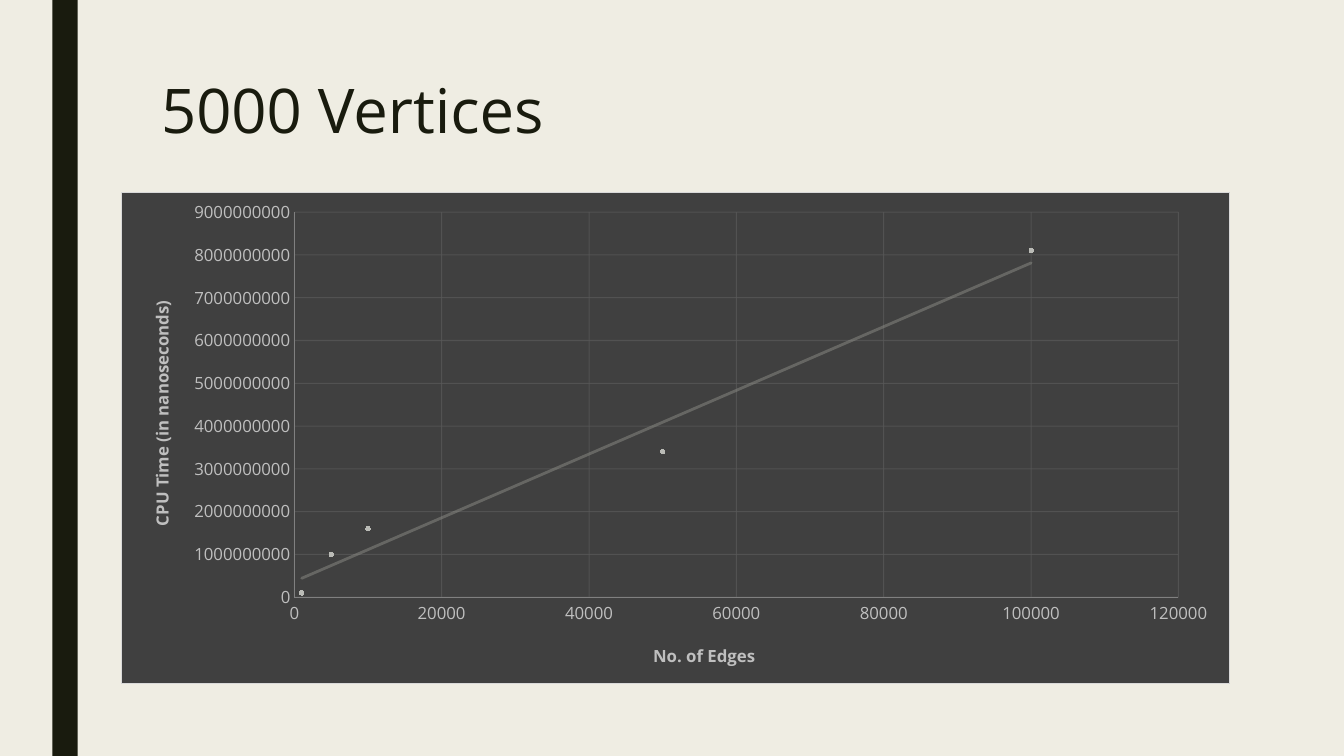
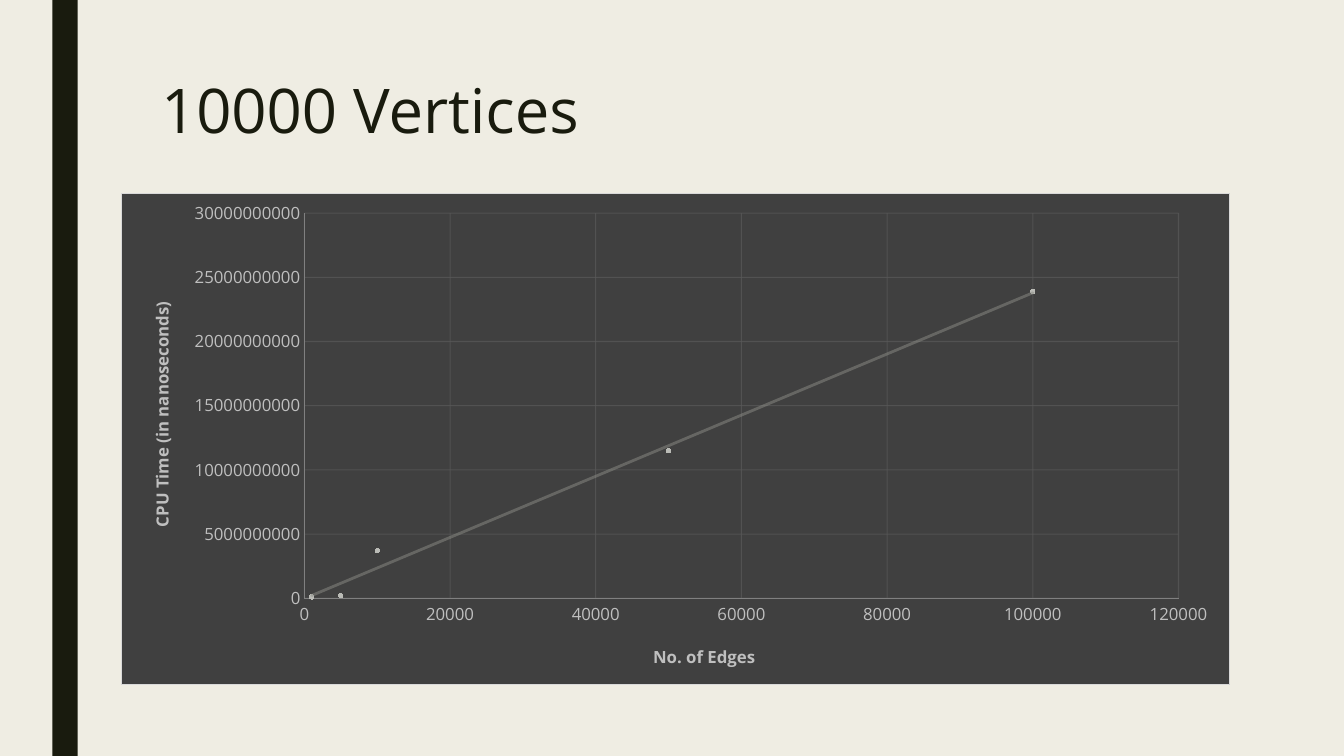
from pptx import Presentation
from pptx.chart.data import XyChartData
from pptx.dml.color import RGBColor
from pptx.enum.chart import XL_CHART_TYPE as ChartType, XL_MARKER_STYLE as Marker, XL_TICK_MARK as Tick
from pptx.enum.shapes import MSO_SHAPE as Shape
from pptx.enum.text import MSO_ANCHOR as Anchor
from pptx.oxml import parse_xml
from pptx.oxml.ns import nsdecls
from pptx.util import Inches, Pt

COLORS = {
    "paper": "EFEDE3",
    "ink": "191B0E",
    "panel": "404040",
    "panel_edge": "D9D9D9",
    "label": "BFBFBF",
    "axis": "808080",
    "grid": "595959",
    "point": "BABBB6",
    "trend": "8C8D86",
}
FONT = "Open Sans"
EDGES = (1000, 5000, 10000, 50000, 100000)
PLOT_RIGHT = 0.954
BENCHMARKS = (
    {
        "title": "5000 Vertices",
        "times": (100000000, 1000000000, 1600000000, 3400000000, 8100000000),
        "top": 1.9,
        "plot_left": 0.156,
        "time_scale": (9000000000, 1000000000),
    },
    {
        "title": "10000 Vertices",
        "times": (100000000, 200000000, 3700000000, 11500000000, 23900000000),
        "top": 1.91,
        "plot_left": 0.165,
        "time_scale": (30000000000, 5000000000),
    },
)


def color(name):
    return RGBColor.from_string(COLORS[name])


def style_font(font, size, name, bold=False):
    font.name = FONT
    font.size = Pt(size)
    font.bold = bold
    font.color.rgb = color(name)


def style_line(line, name, width=0.75):
    line.color.rgb = color(name)
    line.width = Pt(width)


def solid_fill(name, opacity=100):
    return (f'<a:solidFill><a:srgbClr val="{COLORS[name]}">'
            f'<a:alpha val="{opacity * 1000}"/></a:srgbClr></a:solidFill>')


def manual_layout(x, y, size=None):
    target = '<c:layoutTarget val="inner"/>' if size else ""
    extent = f'<c:w val="{size[0]:.3f}"/><c:h val="{size[1]:.3f}"/>' if size else ""
    return parse_xml(
        f'<c:layout {nsdecls("c")}><c:manualLayout>{target}'
        '<c:xMode val="edge"/><c:yMode val="edge"/>'
        f'<c:x val="{x}"/><c:y val="{y}"/>{extent}</c:manualLayout></c:layout>')


def set_layout(parent, index, layout):
    for old in parent.xpath("./c:layout"):
        parent.remove(old)
    parent.insert(index, layout)


def add_band(slide):
    band = slide.shapes.add_shape(
        Shape.RECTANGLE, Inches(0.52), 0, Inches(0.25), Inches(7.5))
    band.shadow.inherit = False
    band.fill.solid()
    band.fill.fore_color.rgb = color("ink")
    band.line.fill.background()


def add_title(slide, text):
    frame = slide.shapes.add_textbox(
        Inches(1.5), Inches(0.75), Inches(10.5), Inches(1.62)).text_frame
    frame.word_wrap = True
    frame.vertical_anchor = Anchor.TOP
    frame.text = text
    heading = frame.paragraphs[0]
    heading.line_spacing = 0.89
    style_font(heading.runs[0].font, 44, "ink")


def style_axis(axis, title, title_at, rotation, maximum, step):
    axis.minimum_scale = 0
    axis.maximum_scale = maximum
    axis.major_unit = step
    axis.major_tick_mark = axis.minor_tick_mark = Tick.NONE
    axis.has_major_gridlines = True
    style_line(axis.major_gridlines.format.line, "grid")
    style_line(axis.format.line, "axis")
    axis.tick_labels.number_format = "0"
    axis.tick_labels.number_format_is_linked = False
    style_font(axis.tick_labels.font, 12, "label")
    frame = axis.axis_title.text_frame
    frame.text = title
    style_font(frame.paragraphs[0].runs[0].font, 12, "label", True)
    heading = axis.axis_title.element
    body = heading.xpath(".//a:bodyPr")[0]
    body.set("rot", str(rotation * 60000))
    body.set("vert", "horz")
    set_layout(heading, 1, manual_layout(*title_at))


def style_points(series):
    series.format.line.fill.background()
    series.marker.style = Marker.CIRCLE
    series.marker.size = 3
    series.marker.format.fill.solid()
    series.marker.format.fill.fore_color.rgb = color("point")
    style_line(series.marker.format.line, "point")


def add_trend(chart):
    trend = parse_xml(
        f'<c:trendline {nsdecls("c", "a")}><c:spPr><a:ln w="{Pt(2)}" cap="rnd">'
        f'{solid_fill("trend", 50)}</a:ln></c:spPr><c:trendlineType val="linear"/>'
        '<c:dispRSqr val="0"/><c:dispEq val="0"/></c:trendline>')
    chart.element.xpath(".//c:ser/c:xVal")[0].addprevious(trend)


def style_panel(chart):
    panel = parse_xml(
        f'<c:spPr {nsdecls("c", "a")}>{solid_fill("panel")}'
        f'<a:ln w="{Pt(0.75)}">{solid_fill("panel_edge")}</a:ln></c:spPr>')
    chart.element.xpath("./c:chart")[0].addnext(panel)


def fade_gridlines(chart):
    for grid_color in chart.element.xpath(".//c:majorGridlines//a:srgbClr"):
        grid_color.append(parse_xml(f'<a:alpha {nsdecls("a")} val="75000"/>'))


def add_timing_chart(slide, times, top, plot_left, time_scale):
    data = XyChartData()
    points = data.add_series("Series 1")
    for edges, time in zip(EDGES, times):
        points.add_data_point(edges, time)
    chart = slide.shapes.add_chart(
        ChartType.XY_SCATTER, Inches(1.2), Inches(top),
        Inches(11), Inches(4.89), data).chart
    chart.has_legend = False
    chart.has_title = False
    chart.font.name = FONT
    chart.font.size = Pt(10)
    chart.plots[0].vary_by_categories = False
    style_points(chart.plots[0].series[0])
    chart.plots[0].series[0].smooth = False
    style_axis(chart.category_axis, "No. of Edges", (0.477, 0.91), 0, 120000, 20000)
    style_axis(chart.value_axis, "CPU Time (in nanoseconds)", (0.022, 0.215), -90, *time_scale)
    add_trend(chart)
    style_panel(chart)
    fade_gridlines(chart)
    plot_area = chart.element.xpath(".//c:plotArea")[0]
    set_layout(plot_area, 0, manual_layout(
        plot_left, 0.041, (PLOT_RIGHT - plot_left, 0.783)))


def main():
    deck = Presentation()
    deck.slide_width = Inches(13.33)
    deck.slide_height = Inches(7.5)
    background = deck.slide_master.background.fill
    background.solid()
    background.fore_color.rgb = color("paper")
    for benchmark in BENCHMARKS:
        slide = deck.slides.add_slide(deck.slide_layouts[6])
        add_band(slide)
        add_title(slide, benchmark["title"])
        add_timing_chart(slide, benchmark["times"], benchmark["top"],
                         benchmark["plot_left"], benchmark["time_scale"])
    deck.save("out.pptx")


main()
